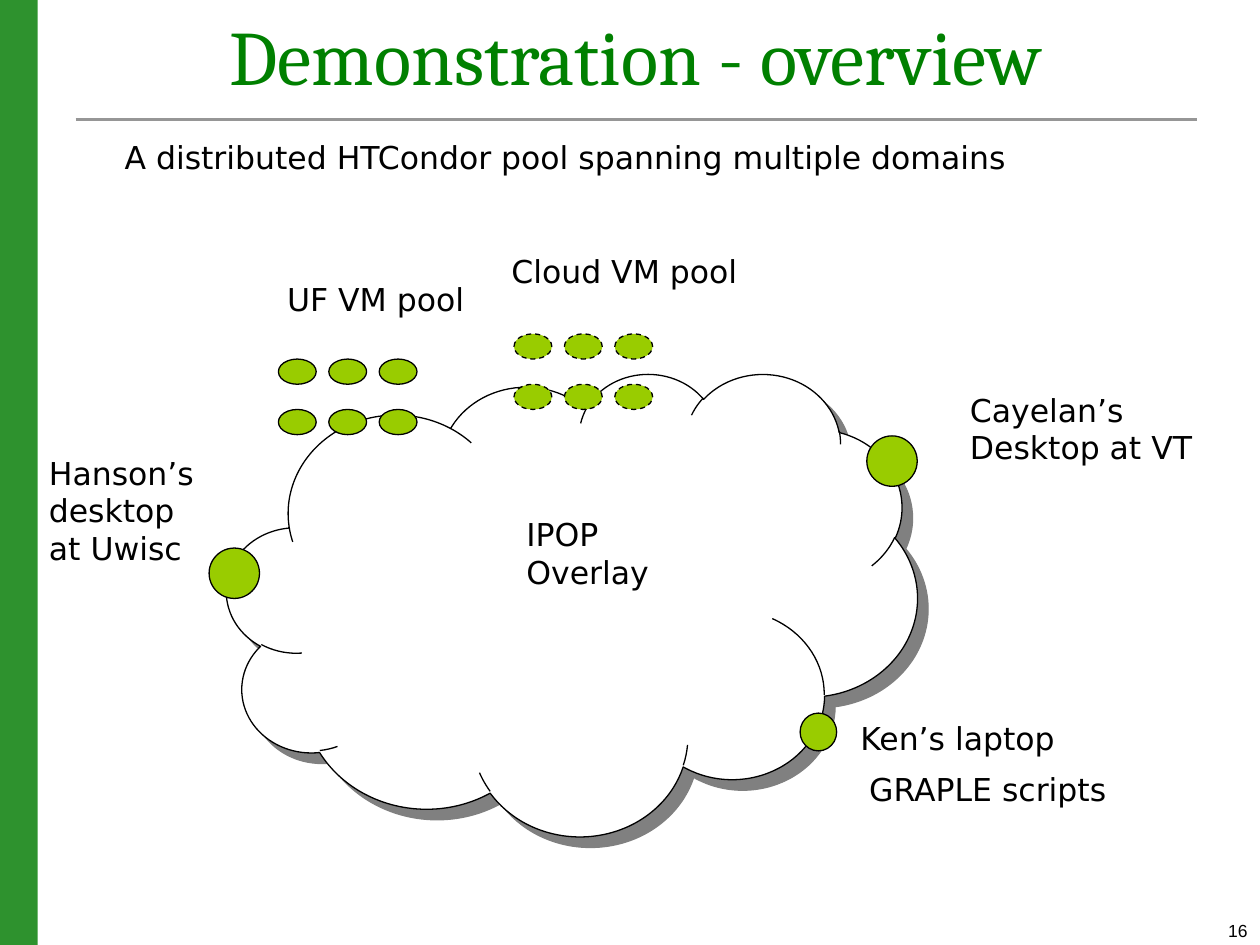
from lxml import etree
from pptx import Presentation
from pptx import util as u
from pptx.dml.color import RGBColor
from pptx.enum import dml, shapes, text
from pptx.oxml import ns

PX = 9144
SLIDE_SIZE = (1000, 750)
COLORS = {
    "band": "2E922E",
    "rule": "969696",
    "title": "008000",
    "ink": "000000",
    "cloud": "FFFFFF",
    "shadow": "808080",
    "node": "99CC00",
}

TITLE = ("Demonstration - overview", (60, 5, 890, 80))
SLIDE_NUMBER = ("16", (940, 725, 60, 25))
BAND = (0, 0, 30, 750)
RULE = (60, 95, 950, 95)
CLOUD = (180, 296, 548, 367)
COMPUTERS = [(166, 435, 40, 40), (688, 346, 40, 40), (635, 566, 29, 30)]
LABELS = [
    (["A distributed HTCondor pool spanning multiple domains"], (89, 105, 729, 40)),
    (["UF VM pool"], (218, 217, 163, 40)),
    (["Cloud VM pool"], (396, 195, 202, 40)),
    (["Hanson’s", "desktop", "at Uwisc"], (29, 355, 143, 101)),
    (["Cayelan’s", "Desktop at VT"], (760, 305, 200, 71)),
    (["IPOP", "Overlay"], (408, 404, 117, 71)),
    (["Ken’s laptop"], (673, 566, 175, 40)),
    (["GRAPLE scripts"], (680, 606, 212, 40)),
]
POOLS = [((221, 285), False), ((408, 265), True)]
POOL_ROWS, POOL_COLUMNS, POOL_STEP = 2, 3, 40
MACHINE_SIZE = (30, 20)


def emu(lengths):
    return [u.Emu(length * PX) for length in lengths]


def color(name):
    return RGBColor.from_string(COLORS[name])


def style(paragraph, name, size, ink="ink"):
    paragraph.font.name = name
    paragraph.font.size = u.Pt(size)
    paragraph.font.color.rgb = color(ink)


def add_shape(slide, kind, box, fill, outline=True, dashed=False):
    shape = slide.shapes.add_shape(kind, *emu(box))
    shape.shadow.inherit = False
    shape.fill.solid()
    shape.fill.fore_color.rgb = color(fill)
    if outline:
        shape.line.color.rgb = color("ink")
        shape.line.width = u.Pt(0.75)
        if dashed:
            shape.line.dash_style = dml.MSO_LINE.DASH
    else:
        shape.line.fill.background()
    return shape


def add_text(slide, lines, box, name, size):
    shape = slide.shapes.add_textbox(*emu(box))
    frame = shape.text_frame
    frame.text = "\n".join(lines)
    for paragraph in frame.paragraphs:
        style(paragraph, name, size)
    return frame


def add_title(slide):
    words, box = TITLE
    title = slide.shapes.title
    title.left, title.top, title.width, title.height = emu(box)
    frame = title.text_frame
    frame.text = words
    frame.auto_size = text.MSO_AUTO_SIZE.NONE
    frame.vertical_anchor = text.MSO_ANCHOR.BOTTOM
    frame.paragraphs[0].alignment = text.PP_ALIGN.CENTER
    style(frame.paragraphs[0], "Cambria", 44, "title")


def add_rule(slide):
    rule = slide.shapes.add_connector(shapes.MSO_CONNECTOR.STRAIGHT, *emu(RULE))
    rule.line.color.rgb = color("rule")
    rule.line.width = u.Pt(1.5)
    etree.SubElement(rule._element.spPr, ns.qn("a:effectLst"))


def add_cloud(slide):
    cloud = add_shape(slide, shapes.MSO_SHAPE.CLOUD, CLOUD, "cloud")
    effects = cloud._element.spPr.find(ns.qn("a:effectLst"))
    shadow = etree.SubElement(
        effects, ns.qn("a:outerShdw"),
        dist=str(u.Pt(8.5)), dir=str(45 * 60000), algn="ctr", rotWithShape="0")
    etree.SubElement(shadow, ns.qn("a:srgbClr"), val=COLORS["shadow"])


def main():
    presentation = Presentation()
    presentation.slide_width, presentation.slide_height = emu(SLIDE_SIZE)
    slide = presentation.slides.add_slide(presentation.slide_layouts[5])

    add_title(slide)
    add_rule(slide)
    add_shape(slide, shapes.MSO_SHAPE.RECTANGLE, BAND, "band", outline=False)
    add_cloud(slide)

    for box in COMPUTERS:
        add_shape(slide, shapes.MSO_SHAPE.OVAL, box, "node")
    for (left, top), dashed in POOLS:
        for row in range(POOL_ROWS):
            for column in range(POOL_COLUMNS):
                box = (left + column * POOL_STEP, top + row * POOL_STEP, *MACHINE_SIZE)
                add_shape(slide, shapes.MSO_SHAPE.OVAL, box, "node", dashed=dashed)

    for lines, box in LABELS:
        frame = add_text(slide, lines, box, "DejaVu Sans", 18)
        frame.word_wrap = False
        frame.auto_size = text.MSO_AUTO_SIZE.SHAPE_TO_FIT_TEXT

    number, box = SLIDE_NUMBER
    frame = add_text(slide, [number], box, "Arial", 10)
    frame.word_wrap = True
    frame.paragraphs[0].alignment = text.PP_ALIGN.RIGHT

    presentation.save("out.pptx")


if __name__ == "__main__":
    main()
